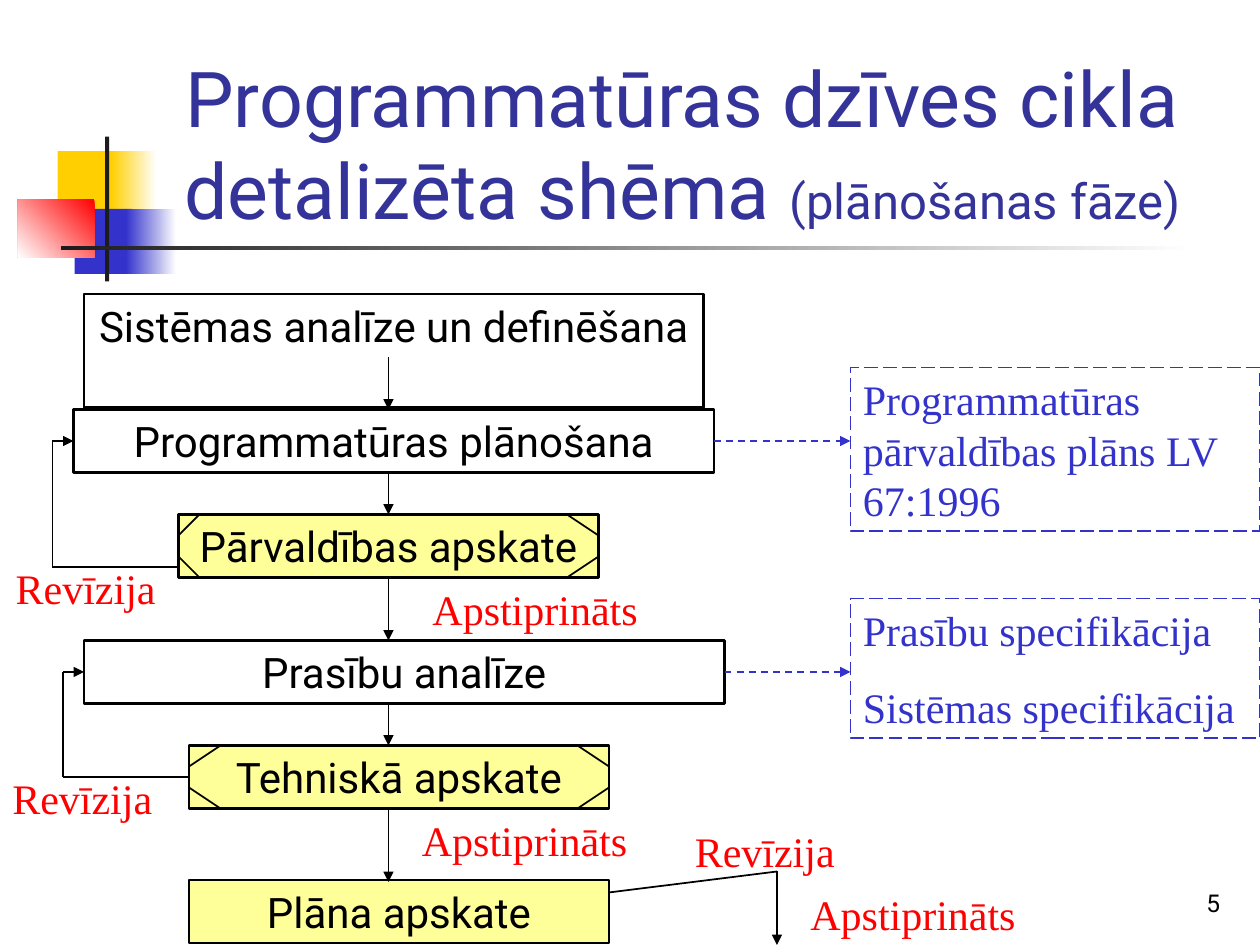
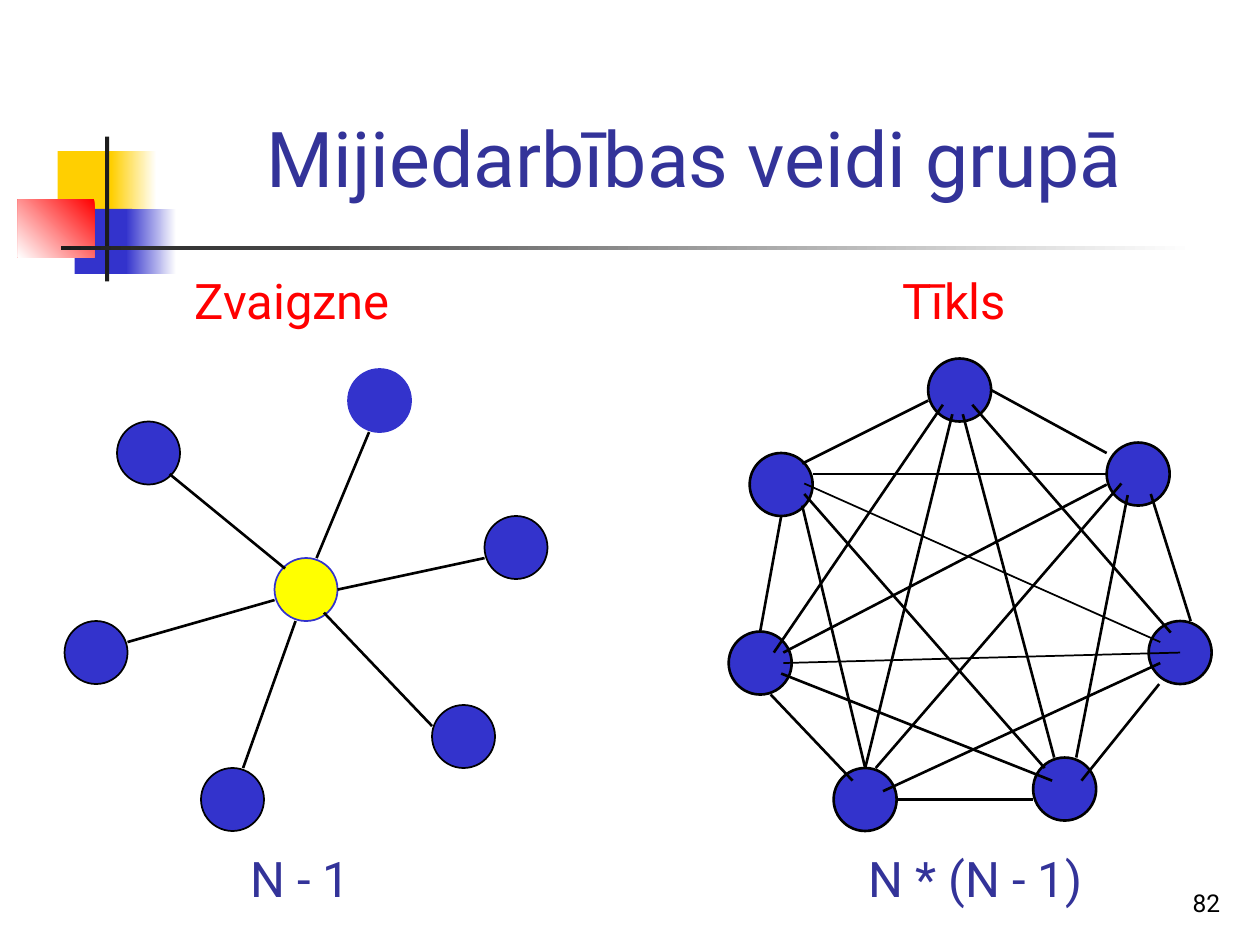
from pptx import Presentation
from pptx.dml.color import RGBColor
from pptx.enum.dml import MSO_LINE
from pptx.enum.shapes import MSO_CONNECTOR, MSO_SHAPE
from pptx.enum.text import MSO_ANCHOR, PP_ALIGN
from pptx.oxml.ns import qn
from pptx.util import Inches, Pt

RECT, OVAL = MSO_SHAPE.RECTANGLE, MSO_SHAPE.OVAL
STRAIGHT = MSO_CONNECTOR.STRAIGHT
DASH, LONG_DASH = MSO_LINE.DASH, MSO_LINE.LONG_DASH
LEFT, CENTER, RIGHT = PP_ALIGN.LEFT, PP_ALIGN.CENTER, PP_ALIGN.RIGHT
TOP, BOTTOM = MSO_ANCHOR.TOP, MSO_ANCHOR.BOTTOM

BLACK, WHITE, DARK = "000000", "FFFFFF", "1C1C1C"
BLUE, NAVY, RED = "3333CC", "333399", "FF0000"
GOLD, YELLOW, PALE = "FFCF01", "FFFF00", "FFFF99"
SANS, SERIF = "Roboto", "Times New Roman"

prs = Presentation()
prs.slide_width, prs.slide_height = Inches(10), Inches(7.5)
UNIT = prs.slide_width / 120  # grid of 120 columns by 90 rows
rgb = RGBColor.from_string


def add_box(s, at, text="", kind=RECT, fill=None, angle=0, line=None, width=1,
            dash=None, size=24, font=SANS, color=BLACK, align=CENTER,
            anchor=TOP, right=0.1, small=""):
    """Add a shape at grid (column, row, columns, rows), with text if given."""
    sp = s.shapes.add_shape(kind, *(round(v * UNIT) for v in at))
    sp.shadow.inherit = False
    if isinstance(fill, tuple):
        sp.fill.gradient()
        sp.fill.gradient_angle = angle
        for stop, stop_color in zip(sp.fill.gradient_stops, fill):
            stop.color.rgb = rgb(stop_color)
    elif fill:
        sp.fill.solid()
        sp.fill.fore_color.rgb = rgb(fill)
    else:
        sp.fill.background()
    if line:
        sp.line.color.rgb = rgb(line)
        sp.line.width = Pt(width)
        if dash:
            sp.line.dash_style = dash
    else:
        sp.line.fill.background()
    if not text:
        return
    tf = sp.text_frame
    tf.word_wrap, tf.vertical_anchor = True, anchor
    tf.margin_left, tf.margin_right = Inches(0.1), Inches(right)
    tf.margin_top = tf.margin_bottom = Inches(0.05)
    for i, content in enumerate(text.split("\n")):
        p = tf.add_paragraph() if i else tf.paragraphs[0]
        p.text, p.alignment = content, align
        p.space_before = Pt(15 if i else 0)
        if small:
            p.add_run().text = small
        for r in p.runs:
            r.font.name, r.font.size = font, Pt(size)
            r.font.color.rgb = rgb(color)
        if small:
            r.font.size = Pt(28)


def add_path(s, *points, color=BLACK, width=1, dash=None, arrow=False):
    """Join grid points with lines; an arrowhead goes on the last one."""
    for start, end in zip(points, points[1:]):
        c = s.shapes.add_connector(
            STRAIGHT, *(round(v * UNIT) for v in (*start, *end)))
        c.line.color.rgb = rgb(color)
        c.line.width = Pt(width)
        if dash:
            c.line.dash_style = dash
        sp_pr = c._element.spPr
        sp_pr.append(sp_pr.makeelement(qn("a:effectLst"), {}))
    if arrow:
        ln = c.line._get_or_add_ln()
        ln.append(ln.makeelement(qn("a:tailEnd"), {"type": "triangle"}))


# Shared frame: squares, rules, title and slide number
DECOR = [
    ((5.5, 14.4, 5.8, 6.2), GOLD, 0),
    ((10.6, 14.4, 4.3, 6.2), (WHITE, GOLD), 180),
    ((7.1, 19.9, 5.5, 6.2), BLUE, 0),
    ((12, 19.9, 4.8, 6.2), (WHITE, BLUE), 180),
    ((1.7, 19, 7.3, 5.5), (RED, WHITE), 225),
    ((10, 13, 0.4, 13.8), DARK, 0),
    ((5.8, 23.4, 108, 0.4), (WHITE, DARK), 180),
]
TITLES = [
    ((10, 5, 110, 18), "Programmatūras dzīves cikla\vdetalizēta shēma ",
     "(plānošanas fāze)", "5"),
    ((15.1, 2.8, 102.2, 17.1), "Mijiedarbības veidi grupā", "", "82"),
]
slides = []
for at, title, small, number in TITLES:
    s = prs.slides.add_slide(prs.slide_layouts[6])
    slides.append(s)
    for decor_at, fill, angle in DECOR:
        add_box(s, decor_at, fill=fill, angle=angle)
    add_box(s, at, title, size=44, color=NAVY, anchor=BOTTOM, small=small)
    add_box(s, (92.4, 82, 25, 6), number, size=14, align=RIGHT, anchor=BOTTOM)
flow, group = slides

# Slide 1: steps of the planning phase
STEPS = [
    ((8, 28, 59, 10.8), "Sistēmas analīze un definēšana", None),
    ((7, 39, 61, 6), "Programmatūras plānošana", None),
    ((17, 49, 40, 6), "Pārvaldības apskate", PALE),
    ((8, 61, 61, 6), "Prasību analīze", None),
    ((18, 71, 40, 6), "Tehniskā apskate", PALE),
    ((18, 83.8, 40, 6), "Plāna apskate", PALE),
]
for at, text, fill in STEPS:
    add_box(flow, at, text, fill=fill, line=BLACK, width=1.5)

# Arrows down, revision loops and the way out
for top, bottom in [(34, 39), (45, 49), (55, 61), (67, 71), (77, 84)]:
    add_path(flow, (37, top), (37, bottom), arrow=True)
add_path(flow, (17, 54), (5, 54), (5, 42), (7, 42), arrow=True)
add_path(flow, (18, 74), (6, 74), (6, 64), (8, 64), arrow=True)
add_path(flow, (58, 85), (74, 83), (74, 90), arrow=True)

# Cut corners of the two reviews
for left, top, cut in [(17, 49, 2), (18, 71, 3)]:
    for edge, inner in [(left, left + cut), (left + 40, left + 37)]:
        add_path(flow, (inner, top), (edge, top + 2))
        add_path(flow, (inner, top + 6), (edge, top + 4))

# Outcomes of the reviews
for at, text, align in [
    ((0, 53, 16, 6), "Revīzija", RIGHT),
    ((0, 73, 18, 6), "Revīzija", LEFT),
    ((65, 78, 17, 6), "Revīzija", LEFT),
    ((40, 55, 26, 6), "Apstiprināts", LEFT),
    ((39, 77, 26, 6), "Apstiprināts", LEFT),
    ((76, 84, 24, 6), "Apstiprināts", LEFT),
]:
    add_box(flow, at, text, font=SERIF, color=RED, align=align)

# Documents produced
for top, height, text, start, row in [
    (35, 15.6, "Programmatūras pārvaldības plāns LV 67:1996", 68, 42),
    (57, 13.3, "Prasību specifikācija\nSistēmas specifikācija", 69, 64),
]:
    add_box(flow, (81, top, 39, height), text, line=BLUE, dash=LONG_DASH,
            font=SERIF, color=BLUE, align=LEFT)
    add_path(flow, (start, row), (81, row), color=BLUE, dash=DASH, arrow=True)

# Slide 2: headings and formulas
for at, text, color, right in [
    ((15.1, 25.2, 31, 6.8), "Zvaigzne", RED, 0.56),
    ((6.1, 80.2, 45, 6.8), "N - 1", NAVY, 0.1),
    ((79.4, 25.2, 23, 6.8), "Tīkls", RED, 0.1),
    ((70.4, 80.2, 45, 6.8), "N * (N - 1)", NAVY, 0.1),
]:
    add_box(group, at, text, size=28, color=color, right=right)

# Star and network: offset, outline width, nodes (column, row, fill, line), links
STAR_NODES = [(26, 53, YELLOW, BLUE), (33, 35, BLUE, BLUE)] + [
    (x, y, BLUE, BLACK)
    for x, y in [(11, 40), (6, 59), (19, 73), (46, 49), (41, 67)]]
STAR_LINKS = [
    (35, 41, 30, 53), (46, 53, 32, 56), (41, 69, 30.7, 58.2),
    (23, 73, 28, 59), (12, 61, 26, 57), (16, 45, 27, 54),
]
NET_NODES = [
    (x, y, BLUE, BLACK)
    for x, y in [(88, 34), (71, 43), (69, 60), (79, 73), (105, 42),
                 (109, 59), (98, 72)]]
NET_LINKS = [
    (88, 38, 76, 44), (74, 49, 72, 60), (94, 37, 105, 43),
    (85, 76, 98, 76), (109.2, 46.9, 113, 59), (73, 66, 80.8, 74.2),
    (102.6, 74.2, 110, 65), (89.4, 38.4, 73.3, 62), (90.3, 39.3, 82, 73),
    (91.3, 39.3, 100, 72), (92.2, 38.4, 111.1, 60.1), (83, 73, 106.4, 45.9),
    (83.7, 75.2, 110.1, 63), (82, 73, 76, 48), (99.8, 74.2, 74, 64),
    (102.1, 72, 107, 47), (99.1, 73, 76.2, 46.9), (74.2, 62, 105, 46),
    (77, 45, 105, 45),
]
THIN_LINKS = [(74.2, 63, 112, 62), (76.2, 45.9, 110.1, 61)]
for dx, dy, outline, nodes, links, thin_links in [
    (0.15, 0.15, 1, STAR_NODES, STAR_LINKS, []),
    (0.4, 0.15, 1.5, NET_NODES, NET_LINKS, THIN_LINKS),
]:
    for x, y, fill, line in nodes:
        add_box(group, (x + dx, y + dy, 6, 6), kind=OVAL, fill=fill,
                line=line, width=outline)
    for width, lines in [(1.5, links), (1, thin_links)]:
        for x1, y1, x2, y2 in lines:
            add_path(group, (x1 + dx, y1 + dy), (x2 + dx, y2 + dy), width=width)

prs.save("out.pptx")
